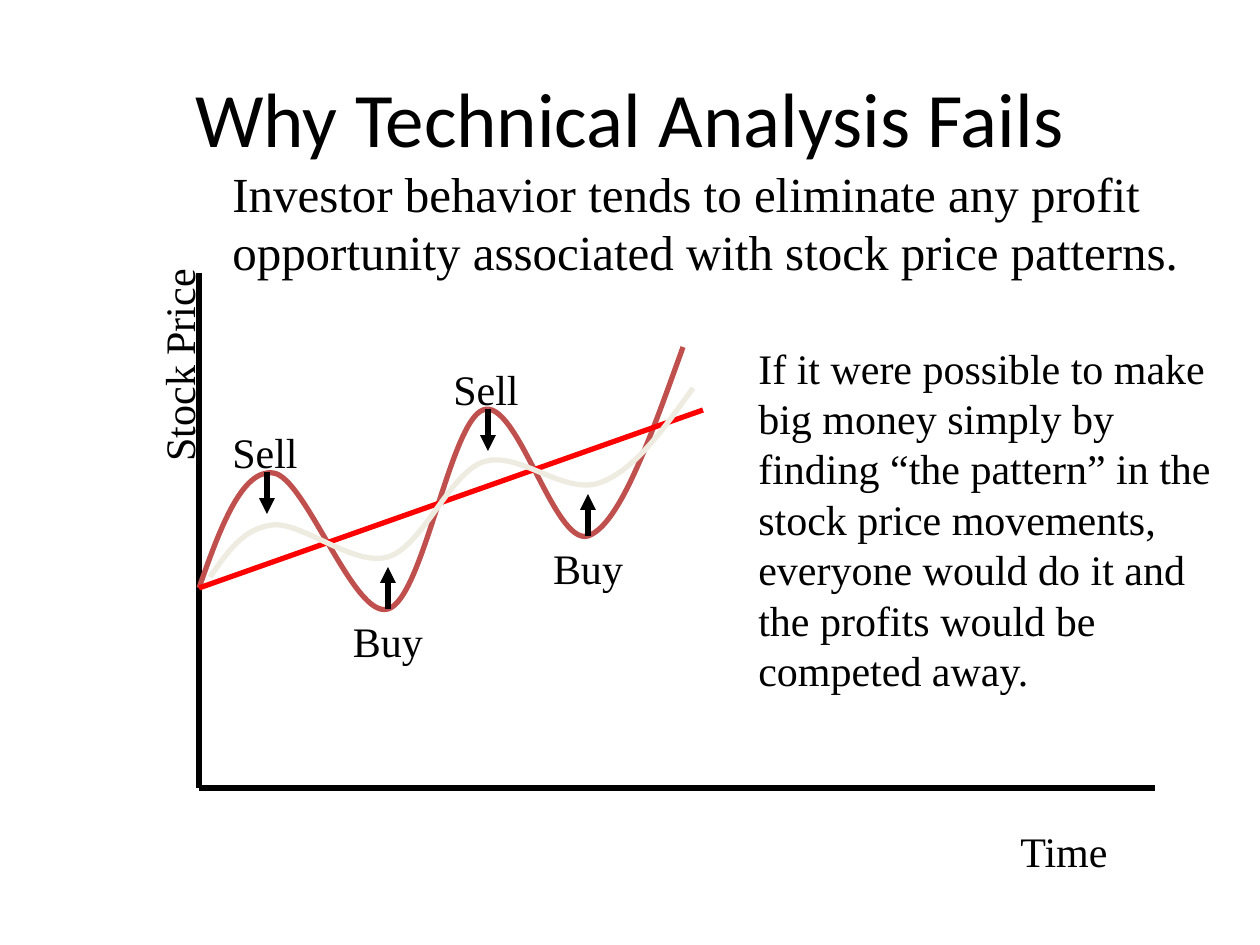
"""Build a slide on why technical analysis fails, with a price pattern sketch."""
import pptx
import pptx.dml.color
import pptx.enum.shapes
import pptx.enum.text
import pptx.oxml
import pptx.oxml.ns
import pptx.util
from lxml import etree

HUES = {"ink": "000000", "wave": "C0504D", "trend": "FF0000", "calm": "EEECE1"}
FACE = {"title": "Calibri", "text": "Times New Roman"}
ALIGN = pptx.enum.text.PP_ALIGN
STEP = 42
qn = pptx.oxml.ns.qn


def hue(name):
    return pptx.dml.color.RGBColor.from_string(HUES[name])


class Deck:
    """Hold the style and the current slide."""

    def __init__(self):
        self.scale = 914400 / 126
        self.prs = pptx.Presentation()
        self.prs.slide_width = self.emu(1260)
        self.prs.slide_height = self.emu(945)
        self.slide = self.prs.slides.add_slide(self.prs.slide_layouts[5])

    def emu(self, px):
        return pptx.util.Emu(round(px * self.scale))

    def box(self, *sizes):
        return [self.emu(px) for px in sizes]

    def format(self, shape, text, size, face, align):
        shape.text_frame.text = text
        para = shape.text_frame.paragraphs[0]
        para.alignment = align
        style = {"size": pptx.util.Pt(size), "name": FACE[face]}
        for key, value in style.items():
            setattr(para.runs[0].font, key, value)
        para.runs[0].font.color.rgb = hue("ink")

    def title(self, text, *sizes):
        shape = self.slide.shapes.title
        for key, value in zip(("left", "top", "width", "height"), self.box(*sizes)):
            setattr(shape, key, value)
        self.format(shape, text, 44, "title", ALIGN.CENTER)

    def label(self, text, sizes, size=24, align=ALIGN.LEFT, turn=0, home=None):
        shape = (home or self.slide).shapes.add_textbox(*self.box(*sizes))
        frame = {
            "word_wrap": True,
            "auto_size": pptx.enum.text.MSO_AUTO_SIZE.SHAPE_TO_FIT_TEXT,
        }
        for key, value in frame.items():
            setattr(shape.text_frame, key, value)
        shape.rotation = turn
        self.format(shape, text, size, "text", align)

    def stroke(self, shape, color):
        shape.line.color.rgb = hue(color)
        shape.line.width = pptx.util.Pt(3)

    def line(self, ends, color="ink", arrow=False, home=None):
        kind = pptx.enum.shapes.MSO_CONNECTOR.STRAIGHT
        shape = (home or self.slide).shapes.add_connector(kind, *self.box(*ends))
        self.stroke(shape, color)
        props = shape.element.spPr
        if arrow:
            etree.SubElement(props.find(qn("a:ln")), qn("a:tailEnd"), type="triangle")
        etree.SubElement(props, qn("a:effectLst"))

    def curve(self, points, color):
        pen = self.slide.shapes.build_freeform(*points[0], scale=self.scale)
        pen.add_line_segments(points[1:], close=False)
        shape = pen.convert_to_shape()
        shape.shadow.inherit = False
        shape.fill.background()
        self.stroke(shape, color)
        legs = list(shape.element.iter(qn("a:lnTo")))
        for start in range(0, len(legs), 3):
            bend = etree.SubElement(legs[start].getparent(), qn("a:cubicBezTo"))
            for leg in legs[start:start + 3]:
                bend.append(leg[0])
                leg.getparent().remove(leg)

    def signal(self, text, x, y):
        group = self.slide.shapes.add_group_shape()
        sell = text == "Sell"
        tip = y + STEP if sell else y - STEP
        half, top = (47, y - 52) if sell else (52, y)
        align = ALIGN.LEFT if sell else ALIGN.CENTER
        self.line((x, y, x, tip), arrow=True, home=group)
        self.label(text, (x - half, top, 2 * half, 63), align=align, home=group)


def main():
    deck = Deck()
    deck.title("Why Technical Analysis Fails", 63, 38, 1134, 157)
    deck.line((199, 273, 199, 788))
    deck.line((199, 788, 1155, 788))
    deck.label("Stock Price", (57, 321, 243, 63), turn=270)
    deck.label("Time", (1008, 819, 126, 63))
    deck.label(
        "Investor behavior tends to eliminate any profit opportunity "
        "associated with stock price patterns.",
        (220, 157, 998, 130), size=28)
    deck.label(
        "If it were possible to make big money simply by finding “the pattern” "
        "in the stock price movements, everyone would do it and the profits "
        "would be competed away.",
        (746, 336, 494, 365))
    deck.curve([
        (199, 588), (220, 528), (242, 469), (273, 473),
        (305, 476), (354, 620), (388, 609),
        (423, 599), (450, 422), (483, 410),
        (517, 397), (554, 546), (588, 536),
        (620, 525), (651, 436), (683, 347)], "wave")
    deck.line((199, 588, 703, 410), "trend")
    for text, x, y in (("Sell", 267, 472), ("Sell", 488, 409),
                       ("Buy", 388, 609), ("Buy", 588, 536)):
        deck.signal(text, x, y)
    deck.curve([
        (210, 577), (227, 553), (243, 528), (273, 525),
        (302, 522), (354, 567), (388, 557),
        (423, 546), (449, 474), (483, 462),
        (518, 450), (563, 495), (599, 483),
        (634, 471), (663, 430), (693, 388)], "calm")
    deck.prs.save("out.pptx")


if __name__ == "__main__":
    main()
